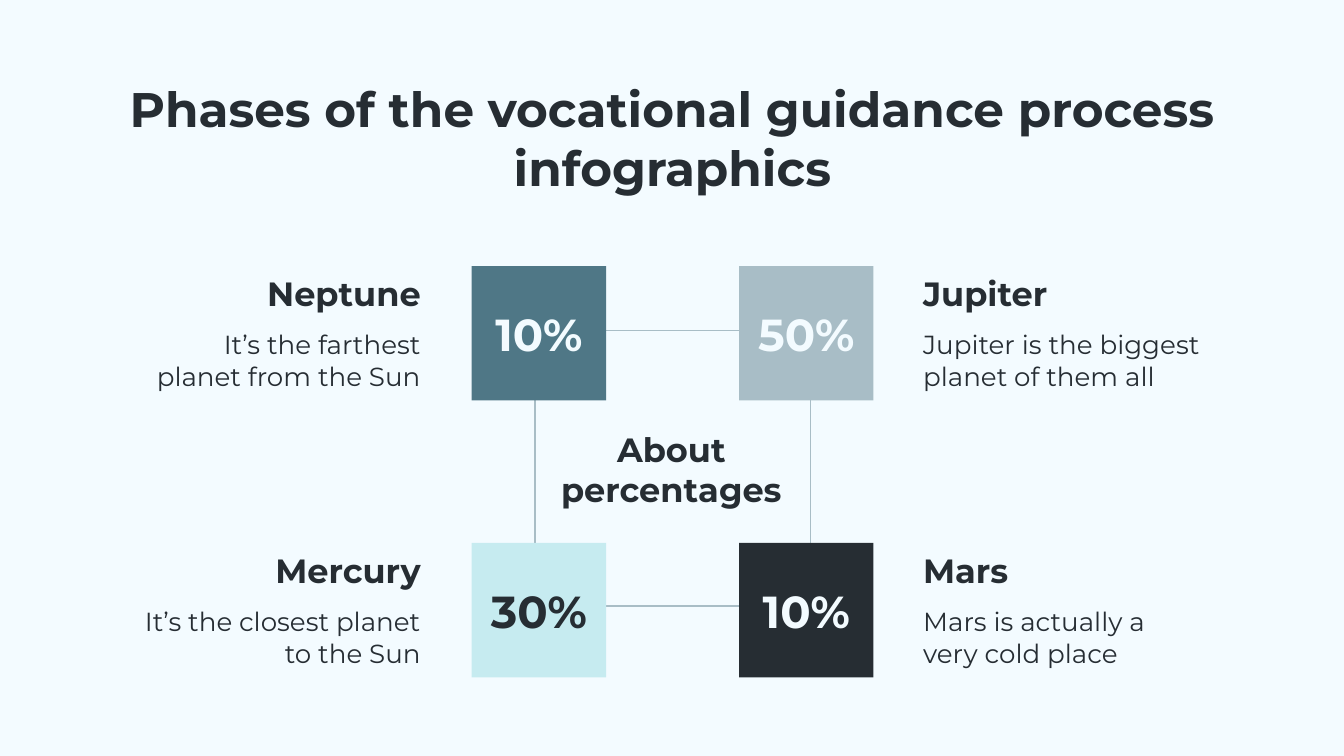
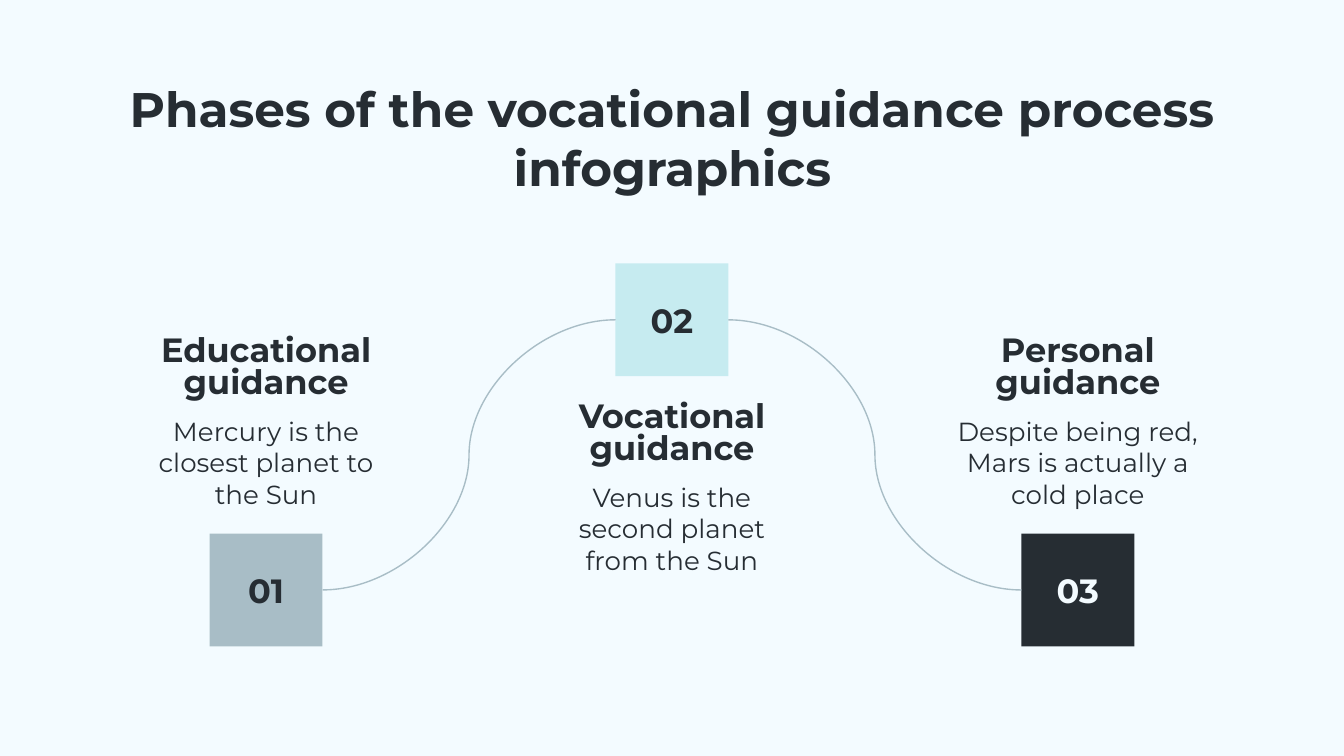
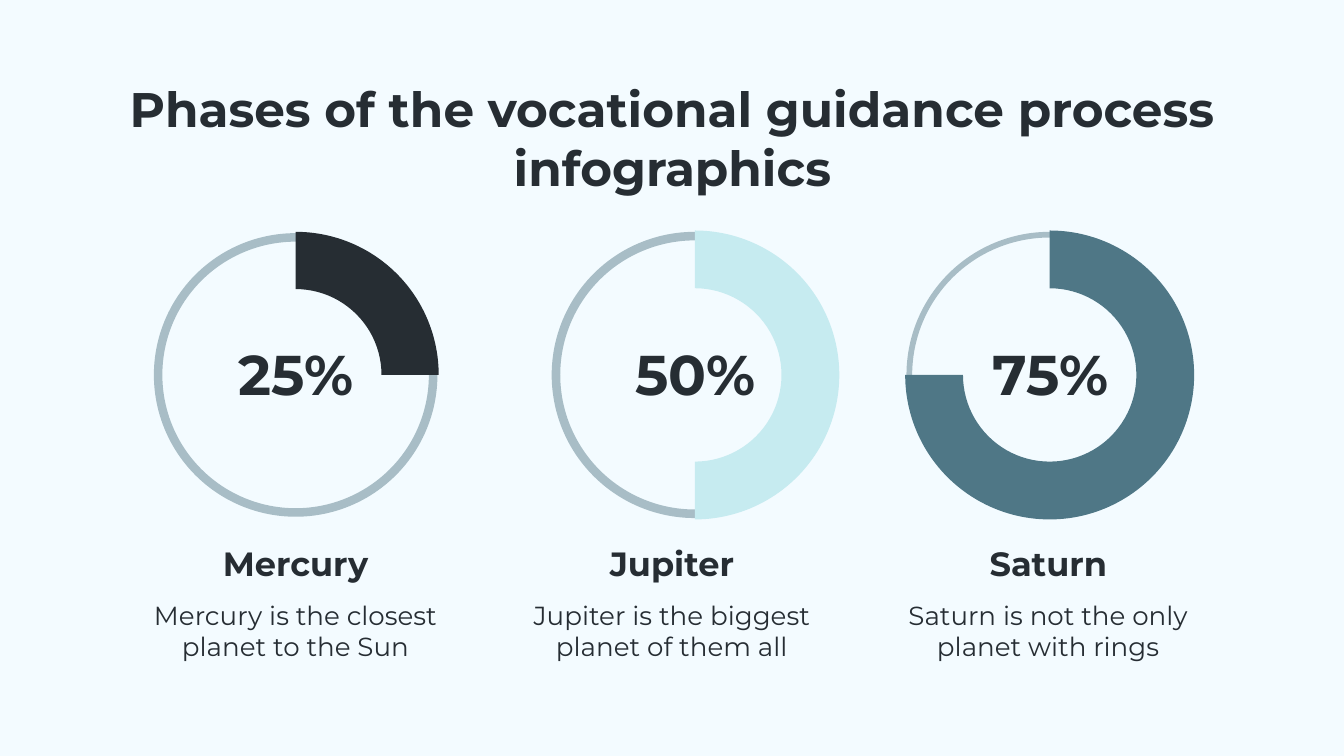
from pptx import Presentation
from pptx.dml.color import RGBColor
from pptx.enum import shapes, text
from pptx.oxml.ns import qn
from pptx.util import Inches, Pt
from lxml import etree

PALE = RGBColor(0xF3, 0xFB, 0xFF)
DARK = RGBColor(0x26, 0x2D, 0x33)
TEAL = RGBColor(0x4F, 0x77, 0x86)
GREY = RGBColor(0xA8, 0xBD, 0xC6)
AQUA = RGBColor(0xC6, 0xEB, 0xF0)

FACE = "Montserrat"
TITLE = "Phases of the vocational guidance process infographics"
LEFT, MID, RIGHT = text.PP_ALIGN.LEFT, text.PP_ALIGN.CENTER, text.PP_ALIGN.RIGHT
TOP, CORE = text.MSO_ANCHOR.TOP, text.MSO_ANCHOR.MIDDLE
KIND = shapes.MSO_SHAPE

SHARES = [
    ("Neptune", "It’s the farthest planet from the Sun", "10%", TEAL, PALE),
    ("Jupiter", "Jupiter is the biggest planet of them all", "50%", GREY, PALE),
    ("Mercury", "It’s the closest planet to the Sun", "30%", AQUA, DARK),
    ("Mars", "Mars is actually a very cold place", "10%", DARK, PALE),
]
SIDES = [(3.51, 0.93, RIGHT), (5.5, 6.77, LEFT)]
ROWS = [1.98, 4.04]

STEPS = [
    ("Educational guidance", "Mercury is the closest planet to the Sun",
     GREY, DARK, 3.97, 2.5),
    ("Vocational guidance", "Venus is the second planet from the Sun",
     AQUA, DARK, 1.96, 2.99),
    ("Personal guidance", "Despite being red, Mars is actually a cold place",
     DARK, PALE, 3.97, 2.5),
]

RINGS = [
    ("Mercury", "Mercury is the closest planet to the Sun", 25, DARK, 2.2, 2.11, 0.03),
    ("Jupiter", "Jupiter is the biggest planet of them all", 50, AQUA, 5.17, 2.13, 0.03),
    ("Saturn", "Saturn is not the only planet with rings", 75, TEAL, 7.81, 2.13, 0.02),
]


def write(shape, words, size, bold=True, color=DARK, align=MID, anchor=CORE, space=None):
    frame = shape.text_frame
    look = {"word_wrap": True, "vertical_anchor": anchor}
    for side in ("left", "top", "right", "bottom"):
        look["margin_" + side] = Inches(0.1)
    for key, val in look.items():
        setattr(frame, key, val)
    para = frame.paragraphs[0]
    para.alignment = align
    if space:
        para.line_spacing = space
    run = para.add_run()
    run.text = words
    for key, val in {"name": FACE, "size": Pt(size), "bold": bold}.items():
        setattr(run.font, key, val)
    run.font.color.rgb = color


def label(slide, box, words, size, **look):
    write(slide.shapes.add_textbox(*map(Inches, box)), words, size, **look)


def block(slide, kind, box, fill=None):
    shape = slide.shapes.add_shape(kind, *map(Inches, box))
    shape.shadow.inherit = False
    if fill is None:
        shape.fill.background()
        shape.line.color.rgb = GREY
        shape.line.width = Pt(0.75)
    else:
        shape.fill.solid()
        shape.fill.fore_color.rgb = fill
        shape.line.fill.background()
    return shape


def curve(slide, start, end):
    line = slide.shapes.add_connector(shapes.MSO_CONNECTOR.CURVE, 0, 0, 0, 0)
    line.begin_connect(start, 3)
    line.end_connect(end, 1)
    line.line.color.rgb = GREY
    line.line.width = Pt(0.75)
    etree.SubElement(line._element.spPr, qn("a:effectLst"))


def start(deck):
    slide = deck.slides.add_slide(deck.slide_layouts[6])
    slide.background.fill.solid()
    slide.background.fill.fore_color.rgb = PALE
    label(slide, (0.79, 0.49, 8.43, 0.98), TITLE, 26, anchor=TOP)
    return slide


def shares(deck):
    slide = start(deck)
    block(slide, KIND.RECTANGLE, (3.98, 2.46, 2.05, 2.05))
    for i, (name, note, share, fill, ink) in enumerate(SHARES):
        left, edge, align = SIDES[i % 2]
        top = ROWS[i // 2]
        label(slide, (edge, top, 2.3, 0.4), name, 18, align=align)
        label(slide, (edge, top + 0.4, 2.3, 0.6), note, 14, bold=False, align=align)
        tile = block(slide, KIND.RECTANGLE, (left, top, 1, 1), fill)
        write(tile, share, 24, color=ink)
    label(slide, (3.97, 3.15, 2.05, 0.68), "About percentages", 18)


def steps(deck):
    slide = start(deck)
    side, wide = 0.84, 2.02
    tiles = []
    for i, (name, note, fill, ink, top, head) in enumerate(STEPS):
        mid = 1.98 + 3.02 * i
        tile = block(slide, KIND.RECTANGLE, (mid - side / 2, top, side, side), fill)
        write(tile, f"{i + 1:02}", 18, color=ink)
        tiles.append(tile)
        left = mid - wide / 2
        label(slide, (left, head, wide, 0.49), name, 18, space=0.8)
        label(slide, (left, head + 0.49, wide, 0.89), note, 14, bold=False, anchor=TOP)
    for pair in zip(tiles, tiles[1:]):
        curve(slide, *pair)


def rings(deck):
    slide = start(deck)
    level = 2.79
    for i, (name, note, share, fill, mid, size, thin) in enumerate(RINGS):
        turn = (270 + 3.6 * share) % 360
        for kind, wide, color, bends in (
            (KIND.DONUT, size, GREY, [thin]),
            (KIND.BLOCK_ARC, size + 0.02, fill, [270 * 0.6, turn * 0.6, 0.2]),
        ):
            ring = block(slide, kind, (mid - wide / 2, level - wide / 2, wide, wide), color)
            for n, bend in enumerate(bends):
                ring.adjustments[n] = bend
        label(slide, (mid - 0.76, 2.56, 1.53, 0.44), f"{share}%", 30)
        left = 1.03 + 2.8 * i
        label(slide, (left, 3.99, 2.34, 0.4), name, 18)
        label(slide, (left, 4.39, 2.34, 0.6), note, 14, bold=False)


def main():
    deck = Presentation()
    deck.slide_width = Inches(10)
    deck.slide_height = deck.slide_width * 9 // 16
    for build in (shares, steps, rings):
        build(deck)
    deck.save("out.pptx")


if __name__ == "__main__":
    main()
